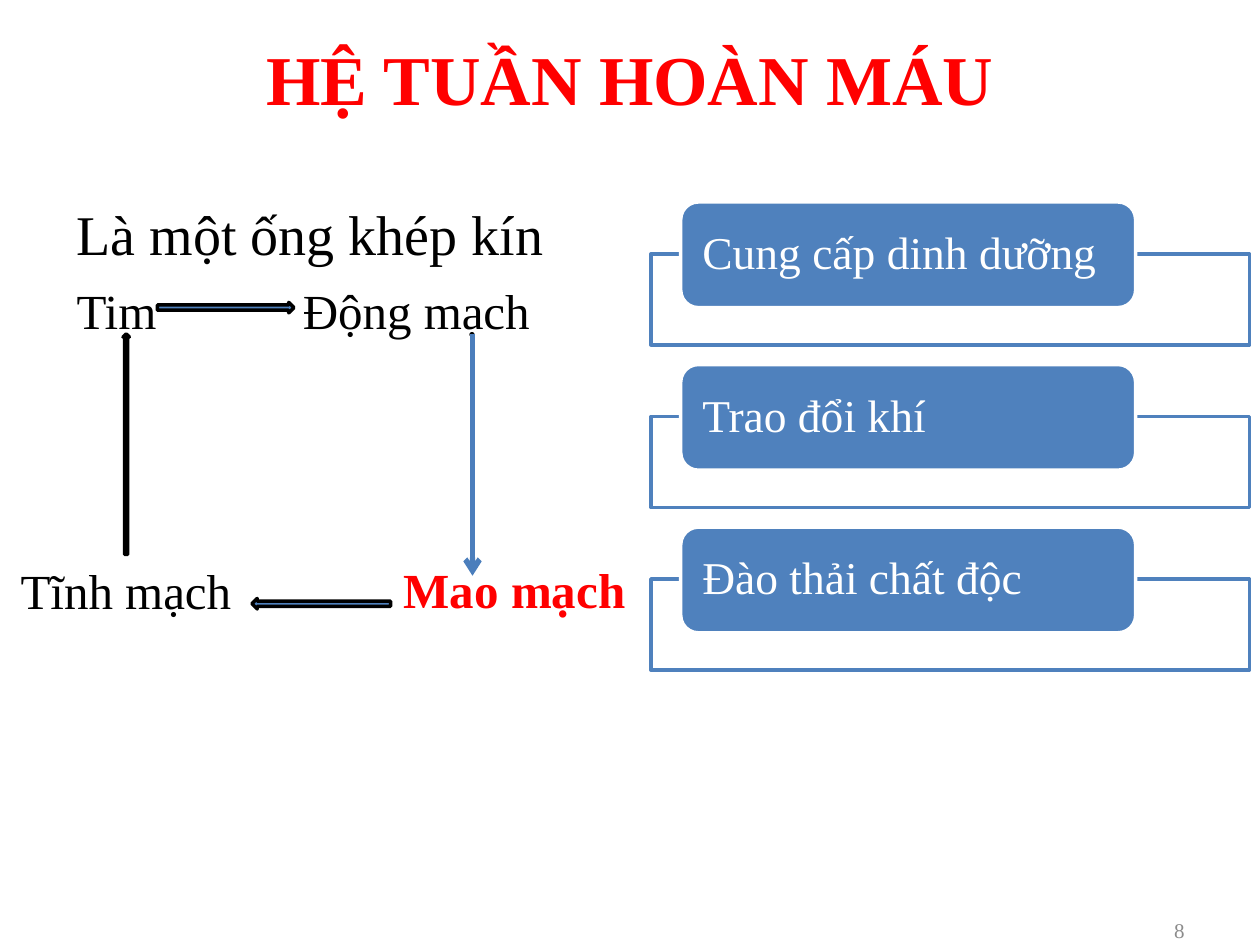
from lxml import etree
from pptx import Presentation
from pptx.dml.color import RGBColor
from pptx.enum.shapes import MSO_CONNECTOR, MSO_SHAPE
from pptx.enum.text import MSO_ANCHOR, PP_ALIGN
from pptx.oxml.ns import qn
from pptx.util import Pt

FONT = "Times New Roman"
BLACK = RGBColor(0x00, 0x00, 0x00)
WHITE = RGBColor(0xFF, 0xFF, 0xFF)
RED = RGBColor(0xFF, 0x00, 0x00)
BLUE = RGBColor(0x4F, 0x81, 0xBD)
LINE_BLUE = RGBColor(0x4B, 0x7E, 0xBC)
GRAY = RGBColor(0x8C, 0x8C, 0x8C)
LEFT, CENTER, RIGHT = PP_ALIGN.LEFT, PP_ALIGN.CENTER, PP_ALIGN.RIGHT
TOP, MIDDLE = MSO_ANCHOR.TOP, MSO_ANCHOR.MIDDLE
RECT, ROUNDED = MSO_SHAPE.RECTANGLE, MSO_SHAPE.ROUNDED_RECTANGLE


def add_box(kind, left, top, width, height, fill=None, line=None):
    """Add a preset shape; without a fill or line colour that part is not drawn."""
    box = slide.shapes.add_shape(kind, Pt(left), Pt(top), Pt(width), Pt(height))
    box.shadow.inherit = False
    if fill is None:
        box.fill.background()
    else:
        box.fill.solid()
        box.fill.fore_color.rgb = fill
    if line is None:
        box.line.fill.background()
    else:
        box.line.color.rgb = line
        box.line.width = Pt(2)
    return box


def write(box, text, size, color, align=LEFT, anchor=MIDDLE, bold=False):
    """Write one run into the first paragraph of a box and return the paragraph."""
    frame = box.text_frame
    frame.word_wrap = True
    frame.vertical_anchor = anchor
    paragraph = frame.paragraphs[0]
    paragraph.alignment = align
    run = paragraph.add_run()
    run.text = text
    run.font.name = FONT
    run.font.size = Pt(size)
    run.font.bold = bold
    run.font.color.rgb = color
    return paragraph


prs = Presentation()
prs.slide_width, prs.slide_height = Pt(720), Pt(540)
slide = prs.slides.add_slide(prs.slide_layouts[6])

# Heading and page number
title = slide.shapes.add_textbox(Pt(0), Pt(16.5), Pt(720), Pt(55.5))
write(title, "HỆ TUẦN HOÀN MÁU", 40, RED, CENTER, TOP, True)
page_number = slide.shapes.add_textbox(Pt(516), Pt(517), Pt(168), Pt(28.8))
write(page_number, "8", 12, GRAY, RIGHT)

# Definition, then the upper row of the circulation loop
definition = slide.shapes.add_textbox(Pt(36.7), Pt(110.5), Pt(293), Pt(383))
write(definition, "Là một ống khép kín", 32, BLACK, anchor=TOP)
upper_row = definition.text_frame.add_paragraph()
upper_row.space_before = Pt(8)
tabs = etree.SubElement(upper_row._p.get_or_add_pPr(), qn("a:tabLst"))
etree.SubElement(tabs, qn("a:tab"), pos=str(Pt(129.25)), algn="l")
upper_run = upper_row.add_run()
upper_run.text = "Tim\tĐộng mạch"
upper_run.font.name = FONT
upper_run.font.size = Pt(28)
upper_run.font.color.rgb = BLACK

# Functions of the circulation
functions = ["Cung cấp dinh dưỡng", "Trao đổi khí", "Đào thải chất độc"]
for index, function in enumerate(functions):
    top = 115.4 + index * 92.9
    add_box(RECT, 372, top + 29.7, 342, 52, WHITE, BLUE)
    label = add_box(ROUNDED, 389, top, 260, 60.4, BLUE, WHITE)
    frame = label.text_frame
    frame.margin_left = frame.margin_right = Pt(9.4)
    frame.margin_top = frame.margin_bottom = 0
    write(label, function, 26, WHITE).line_spacing = 0.9

# Lower row and arrows of the circulation loop
vein = add_box(ROUNDED, 0, 297.4, 144, 79.2)
write(vein, "Tĩnh mạch", 28, BLACK, CENTER)
capillary = add_box(ROUNDED, 198, 316.8, 192, 39.6)
write(capillary, "Mao mạch", 28, RED, CENTER, bold=True)

add_box(MSO_SHAPE.LEFT_ARROW, 144, 342, 79.2, 6, BLUE, BLACK)
add_box(MSO_SHAPE.UP_ARROW, 70.3, 190.8, 3.6, 126, BLACK, BLACK)
add_box(MSO_SHAPE.RIGHT_ARROW, 90, 172.8, 78, 6, BLUE, BLACK)

artery_to_capillary = slide.shapes.add_connector(
    MSO_CONNECTOR.STRAIGHT, Pt(270), Pt(190.8), Pt(270), Pt(329))
artery_to_capillary.line.color.rgb = LINE_BLUE
artery_to_capillary.line.width = Pt(3)
etree.SubElement(artery_to_capillary.line._get_or_add_ln(), qn("a:tailEnd"), type="arrow")
etree.SubElement(artery_to_capillary._element.spPr, qn("a:effectLst"))

prs.save("out.pptx")
